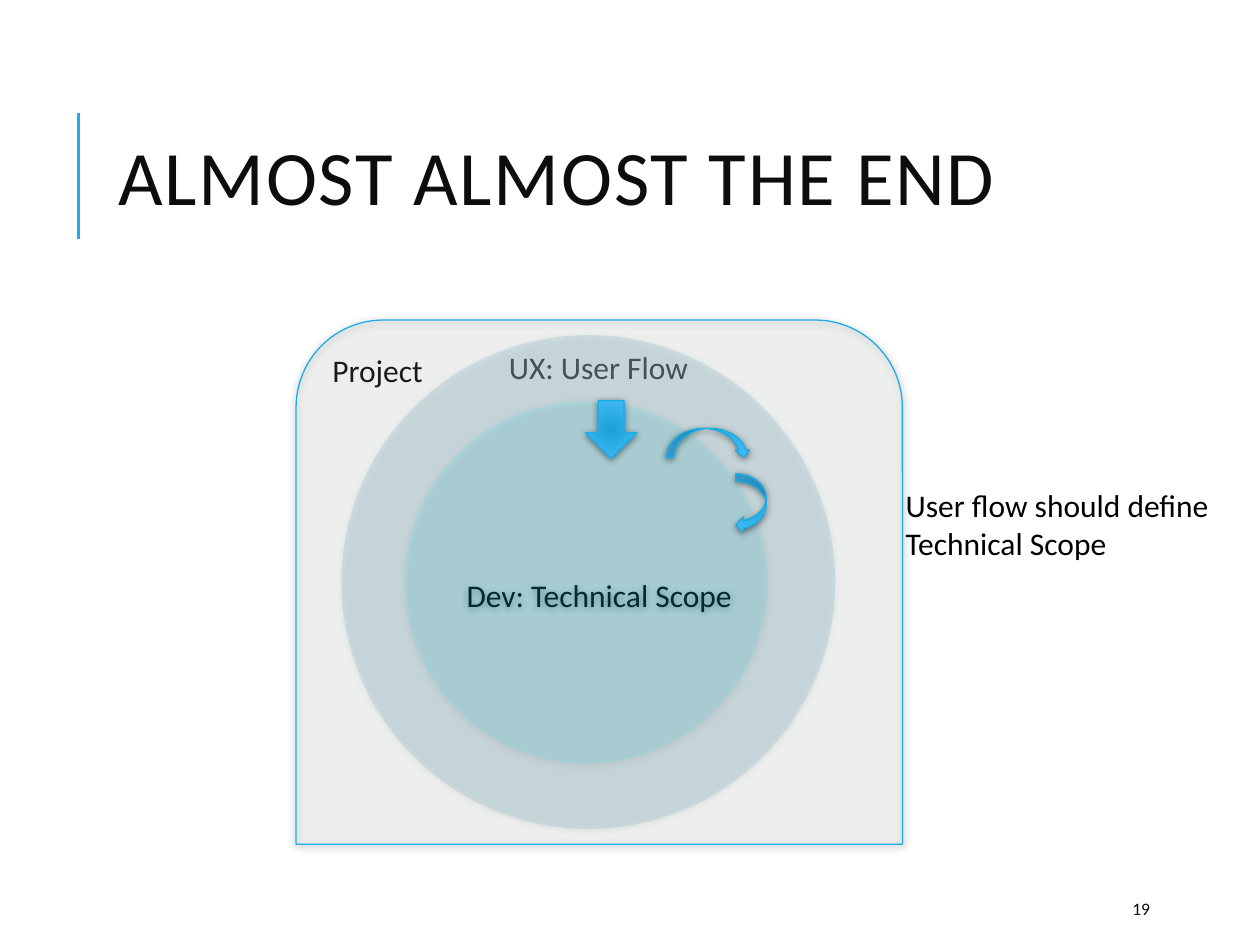
from dataclasses import dataclass
from typing import Optional

from lxml.etree import SubElement
from pptx import Presentation
from pptx.dml.color import RGBColor
from pptx.enum.shapes import MSO_CONNECTOR, MSO_SHAPE
from pptx.enum.text import MSO_ANCHOR, MSO_AUTO_SIZE, PP_ALIGN
from pptx.oxml.ns import qn
from pptx.util import Pt

ACCENT = "1CADE4"
BLACK = "000000"
INK = "0D0D0D"
TITLE_FORMAT = {"word_wrap": True, "vertical_anchor": MSO_ANCHOR.MIDDLE}
NUMBER_FORMAT = {"word_wrap": True}
LABEL_FORMAT = {"word_wrap": False, "auto_size": MSO_AUTO_SIZE.SHAPE_TO_FIT_TEXT}


@dataclass
class Label:
    lines: list[str]
    box: tuple[float, float, float, float]
    frame_format: dict
    size: float = 18
    color: str = BLACK
    line_spacing: Optional[float] = None
    tracking: Optional[int] = None


@dataclass
class Region:
    outline: MSO_SHAPE
    box: tuple[float, float, float, float]
    color: str
    border: Optional[str] = None
    text: str = ""


@dataclass
class FlowArrow:
    direction: MSO_SHAPE
    box: tuple[float, float, float, float]


LABELS = [
    Label(["ALMOST ALMOST THE END"], (60.5, 46, 574, 118), TITLE_FORMAT,
          44, INK, 0.8, 100),
    Label(["19"], (640, 509.8, 57.6, 21.6), NUMBER_FORMAT, 10, INK),
    Label(["Project"], (182.9, 197.3, 67, 29), LABEL_FORMAT),
    Label(["UX: User Flow"], (283.7, 195.1, 118, 29), LABEL_FORMAT, color="404040"),
    Label(["User flow should define", "Technical Scope"],
          (510.5, 274.3, 189.4, 51), LABEL_FORMAT),
]
REGIONS = [
    Region(MSO_SHAPE.ROUND_2_SAME_RECTANGLE, (169.2, 182.9, 346.5, 299.5),
           "D4EBDB", ACCENT, "Dev: Technical Scope"),
    Region(MSO_SHAPE.OVAL, (195.1, 191.5, 282.2, 282.2), "1482AC"),
    Region(MSO_SHAPE.OVAL, (231.1, 229, 207.4, 207.4), "25EFFF"),
]
FLOW_ARROWS = [
    FlowArrow(MSO_SHAPE.DOWN_ARROW, (334.5, 229, 29.5, 33.1)),
    FlowArrow(MSO_SHAPE.CURVED_LEFT_ARROW, (420.5, 270.7, 17.3, 33.8)),
    FlowArrow(MSO_SHAPE.CURVED_DOWN_ARROW, (380.9, 244.8, 48.2, 16.6)),
]


def rgb(value: str) -> RGBColor:
    return RGBColor.from_string(value)


def apply(target, values: dict) -> None:
    for name, value in values.items():
        setattr(target, name, value)


def style_text(paragraph, size: float, color: str) -> None:
    apply(paragraph.font, {"name": "Calibri", "size": Pt(size)})
    paragraph.font.color.rgb = rgb(color)


def draw_label(shapes, label: Label) -> None:
    frame = shapes.add_textbox(*map(Pt, label.box)).text_frame
    apply(frame, label.frame_format)
    frame.text = "\n".join(label.lines)
    for paragraph in frame.paragraphs:
        style_text(paragraph, label.size, label.color)
        if label.line_spacing:
            paragraph.line_spacing = label.line_spacing
        if label.tracking:
            for run in paragraph.runs:
                run.font._element.set("spc", str(label.tracking))


def set_border(shape, color: Optional[str]) -> None:
    if color:
        shape.line.color.rgb = rgb(color)
        shape.line.width = Pt(0.75)
    else:
        shape.line.fill.background()


def add_soft_shadow(shape) -> None:
    shape.shadow.inherit = False
    effects = shape._element.spPr.find(qn("a:effectLst"))
    shadow = SubElement(effects, qn("a:outerShdw"), blurRad=str(Pt(4)),
                        dist=str(Pt(1)), dir="5400000", rotWithShape="0")
    tint = SubElement(shadow, qn("a:srgbClr"), val=BLACK)
    SubElement(tint, qn("a:alpha"), val="50000")


def draw_region(shapes, region: Region) -> None:
    shape = shapes.add_shape(region.outline, *map(Pt, region.box))
    shape.fill.solid()
    shape.fill.fore_color.rgb = rgb(region.color)
    tint = shape._element.spPr.find(qn("a:solidFill")).find(qn("a:srgbClr"))
    SubElement(tint, qn("a:alpha"), val="12000")
    set_border(shape, region.border)
    add_soft_shadow(shape)
    if region.text:
        frame = shape.text_frame
        frame.text = region.text
        frame.vertical_anchor = MSO_ANCHOR.MIDDLE
        frame.paragraphs[0].alignment = PP_ALIGN.CENTER
        style_text(frame.paragraphs[0], 18, BLACK)


def draw_flow_arrow(shapes, arrow: FlowArrow) -> None:
    shape = shapes.add_shape(arrow.direction, *map(Pt, arrow.box))
    shape.fill.gradient()
    for stop, color in zip(shape.fill.gradient_stops, ("1AA1D4", "48BFFF")):
        stop.color.rgb = rgb(color)
    gradient = shape._element.spPr.find(qn("a:gradFill"))
    gradient.remove(gradient.find(qn("a:lin")))
    radial = SubElement(gradient, qn("a:path"), {"path": "circle"})
    SubElement(radial, qn("a:fillToRect"), dict.fromkeys("ltrb", "100000"))
    set_border(shape, ACCENT)
    add_soft_shadow(shape)


def draw_title_rule(shapes) -> None:
    rule = shapes.add_connector(MSO_CONNECTOR.STRAIGHT,
                                Pt(44.8), Pt(136.8), Pt(44.8), Pt(64.8))
    rule.line.color.rgb = rgb(ACCENT)
    rule.line.width = Pt(1.5)
    SubElement(rule._element.spPr, qn("a:effectLst"))


def main() -> None:
    presentation = Presentation()
    apply(presentation, {"slide_width": Pt(720), "slide_height": Pt(540)})
    slide = presentation.slides.add_slide(presentation.slide_layouts[6])
    draw_title_rule(slide.shapes)
    for label in LABELS:
        draw_label(slide.shapes, label)
    diagram = slide.shapes.add_group_shape()
    for region in REGIONS:
        draw_region(diagram.shapes, region)
    for arrow in FLOW_ARROWS:
        draw_flow_arrow(diagram.shapes, arrow)
    presentation.save("out.pptx")


if __name__ == "__main__":
    main()
